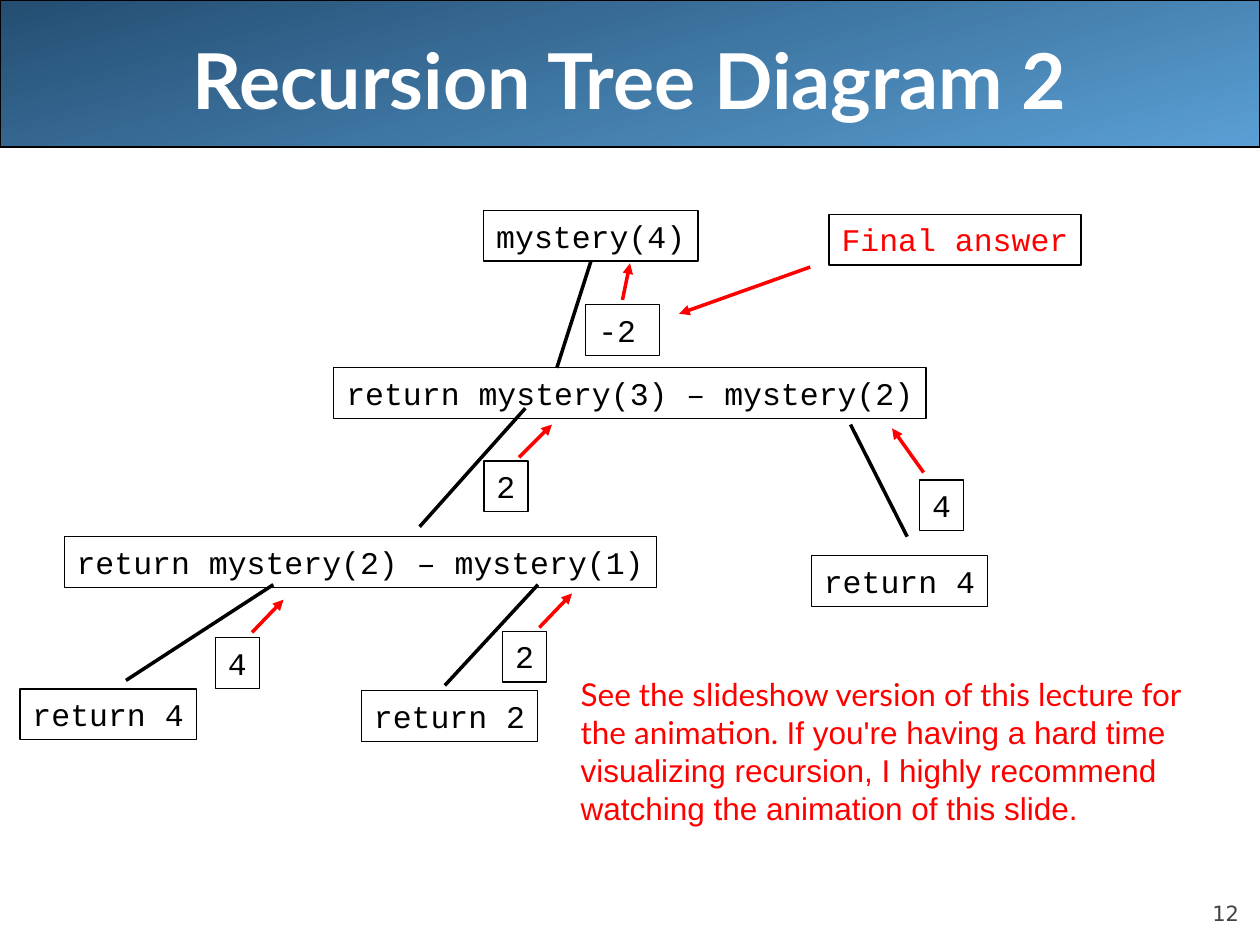
import pptx
import pptx.dml.color
import pptx.enum.shapes
import pptx.enum.text
import pptx.oxml.ns
import pptx.oxml.xmlchemy
import pptx.util

Pt = pptx.util.Pt
ALIGN = pptx.enum.text.PP_ALIGN
ANCHOR = pptx.enum.text.MSO_ANCHOR
SHAPES = pptx.enum.shapes.MSO_SHAPE
BLACK, RED, WHITE = "000000", "FF0000", "FFFFFF"
CHARACTER_WIDTH, LABEL_HEIGHT, LABEL_PADDING = 10.8, 29, 14.4

LABELS = [
    ("return mystery(3) – mystery(2)", 190.8, 126.2),
    ("return mystery(2) – mystery(1)", 36.7, 222.7),
    ("return 4", 11.5, 309.8),
    ("return 2", 206.6, 310.6),
    ("return 4", 463.7, 233.5),
    ("4", 123.1, 280.3),
    ("2", 287.3, 276.7),
    ("2", 276.5, 179.5),
    ("4", 525.6, 190.3),
]
BRANCHES = [
    (300.2, 149.3, 239.8, 217),
    (156.2, 250.1, 72, 304.8),
    (307.4, 250.1, 254.2, 307.7),
    (486, 158.6, 518.4, 222.7),
]
RETURN_ARROWS = [
    (144, 277.4, 162, 258.7),
    (308.2, 274.6, 326.9, 255.1),
    (296.6, 177.4, 315.4, 158.6),
    (527.8, 186, 509.8, 160.8),
    (355.7, 87.4, 360, 66.5),
    (463, 68.6, 388.1, 95.3),
]
NOTE = [
    [("See the slideshow version of this lecture for", "Lato")],
    [("the animation. ", "Lato"), ("If you're having a hard time", "Arial")],
    [("visualizing recursion, I highly recommend", "Arial")],
    [("watching the animation of this slide.", "Arial")],
]


def color(value):
    """Turn a hex string into a colour."""
    return pptx.dml.color.RGBColor.from_string(value)


def set_font(font, name, size, value, bold=False):
    """Set the face, size, colour and weight of a font."""
    font.name, font.size, font.bold = name, Pt(size), bold
    font.color.rgb = color(value)


def add_banner(slide, box, text):
    """Fill the box with a gradient banner and lay the slide title over it."""
    left, top, width, height = box
    banner = slide.shapes.add_shape(SHAPES.RECTANGLE, *map(Pt, box))
    banner.shadow.inherit = False
    banner.fill.gradient()
    banner.fill.gradient_angle = 285
    for stop, value in zip(banner.fill.gradient_stops, ("244E72", "5A9FD4")):
        stop.color.rgb = color(value)
    banner.line.color.rgb = color(BLACK)
    banner.line.width = Pt(0.75)
    title = slide.shapes.title
    title._element.addprevious(banner._element)
    title.left, title.top = Pt(left + 36), Pt(top)
    title.width, title.height = Pt(width - 72), Pt(height + 6)
    title.text_frame.text = text
    title.text_frame.vertical_anchor = ANCHOR.MIDDLE
    paragraph = title.text_frame.paragraphs[0]
    paragraph.alignment = ALIGN.CENTER
    set_font(paragraph.font, "Lato", 44, WHITE, True)


def add_label(slide, text, left, top, value=BLACK, width=None):
    """Add an outlined code label, as wide as its text unless a width is given."""
    label_width = width or len(text) * CHARACTER_WIDTH + LABEL_PADDING
    label = slide.shapes.add_shape(
        SHAPES.RECTANGLE, Pt(left), Pt(top), Pt(label_width), Pt(LABEL_HEIGHT))
    label.shadow.inherit = False
    label.fill.background()
    label.line.color.rgb = color(BLACK)
    label.line.width = Pt(0.75)
    frame = label.text_frame
    frame.text = text
    frame.word_wrap = width is not None
    frame.vertical_anchor = ANCHOR.TOP
    frame.paragraphs[0].alignment = ALIGN.LEFT
    set_font(frame.paragraphs[0].font, "Courier New", 18, value)
    return label


def add_line(slide, ends, value, arrow=False):
    """Add a straight line, with an arrowhead at its end if asked."""
    line = slide.shapes.add_connector(
        pptx.enum.shapes.MSO_CONNECTOR.STRAIGHT, *map(Pt, ends))
    line.line.color.rgb = color(value)
    line.line.width = Pt(2)
    properties = line._element.find(pptx.oxml.ns.qn("p:spPr"))
    if arrow:
        head = pptx.oxml.xmlchemy.OxmlElement("a:tailEnd")
        head.set("type", "triangle")
        properties.find(pptx.oxml.ns.qn("a:ln")).append(head)
    properties.append(pptx.oxml.xmlchemy.OxmlElement("a:effectLst"))
    return line


def add_tree(slide, box):
    """Draw the recursion tree from the top left of the box."""
    left, top, width, height = box
    root = add_label(slide, "mystery(4)", left + 276.5, top + 36.2)
    for text, x, y in LABELS:
        add_label(slide, text, left + x, top + y)
    add_label(slide, "-2", left + 334.8, top + 90.2, width=42)
    add_label(slide, "Final answer", left + 473.8, top + 38.4, RED)
    trunk = (left + 337.7, top + 65.2, left + 318.2, top + 126.2)
    add_line(slide, trunk, BLACK).begin_connect(root, 2)
    for lines, value, arrow in ((BRANCHES, BLACK, False), (RETURN_ARROWS, RED, True)):
        for x1, y1, x2, y2 in lines:
            add_line(slide, (left + x1, top + y1, left + x2, top + y2), value, arrow)


def add_note(slide, box):
    """Write the red advice in the box."""
    frame = slide.shapes.add_textbox(*map(Pt, box)).text_frame
    frame.word_wrap = True
    for index, parts in enumerate(NOTE):
        paragraph = frame.add_paragraph() if index else frame.paragraphs[0]
        for text, name in parts:
            run = paragraph.add_run()
            run.text = text
            set_font(run.font, name, 18, RED)


def add_slide_number(slide, box, number):
    """Write the slide number at the bottom right of the box."""
    frame = slide.shapes.add_textbox(*map(Pt, box)).text_frame
    frame.margin_left = frame.margin_right = frame.margin_top = frame.margin_bottom = 0
    frame.vertical_anchor = ANCHOR.BOTTOM
    frame.word_wrap = True
    frame.text = number
    frame.paragraphs[0].alignment = ALIGN.RIGHT
    set_font(frame.paragraphs[0].font, "DejaVu Sans", 12, "424242")


def main():
    """Build and save the slide."""
    presentation = pptx.Presentation()
    presentation.slide_width, presentation.slide_height = Pt(720), Pt(540)
    slide = presentation.slides.add_slide(presentation.slide_layouts[5])
    add_banner(slide, (0, 0, 720, 84), "Recursion Tree Diagram 2")
    add_tree(slide, (0, 84, 720, 456))
    add_note(slide, (324.7, 382.3, 395, 93.6))
    add_slide_number(slide, (648, 500.4, 60, 28.8), "12")
    presentation.save("out.pptx")


if __name__ == "__main__":
    main()
